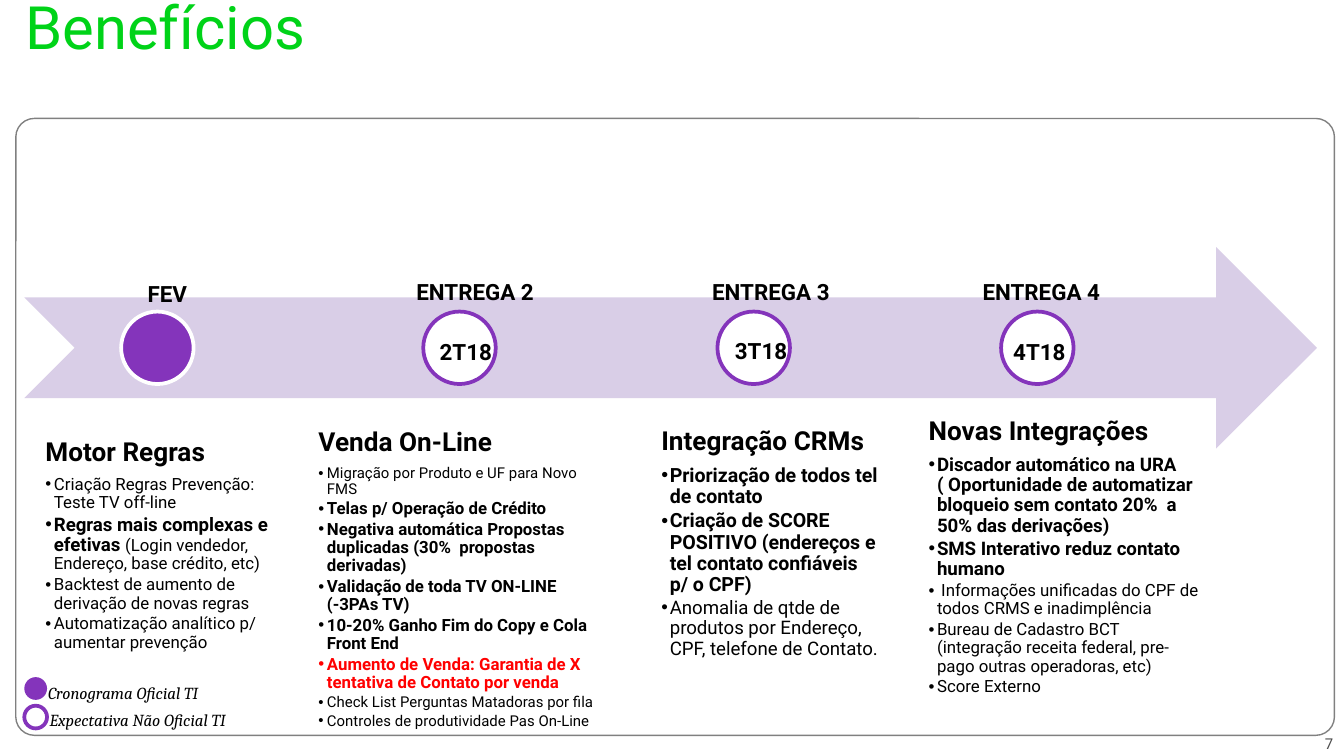
from lxml import etree
from pptx import Presentation
from pptx import util as u
from pptx.dml.color import RGBColor
from pptx.enum import shapes, text
from pptx.oxml import ns

GREEN = RGBColor(0x00, 0xD3, 0x18)
PURPLE = RGBColor(0x84, 0x34, 0xBB)
LILAC = RGBColor(0xD9, 0xCE, 0xE7)
RED = RGBColor(0xFF, 0x00, 0x00)
GRAY = RGBColor(0x80, 0x80, 0x80)
DARK_GRAY = RGBColor(0x4D, 0x4D, 0x4D)
BLACK = RGBColor(0x00, 0x00, 0x00)
WHITE = RGBColor(0xFF, 0xFF, 0xFF)

KIND = shapes.MSO_SHAPE
TOP, MIDDLE, BOTTOM = (text.MSO_ANCHOR.TOP, text.MSO_ANCHOR.MIDDLE,
                       text.MSO_ANCHOR.BOTTOM)
MILESTONE = 1.37
LEGEND_DOT = 0.43

# Milestones: circle left, label (text, left, top), quarter (text, left, top)
MILESTONES = [
    (2.29, ("FEV", 2.79, 5.16), None),
    (8.00, ("ENTREGA 2", 7.87, 5.13), ("2T18", 8.31, 6.27)),
    (13.56, ("ENTREGA 3", 13.46, 5.13), ("3T18", 13.89, 6.25)),
    (18.92, ("ENTREGA 4", 18.57, 5.13), ("4T18", 19.15, 6.27)),
]

# Columns: (left, top, width), anchor, bottom inset, heading, bullets.
# A bullet is a list of spans: text, size, bold, colour.
COLUMNS = [
    ((0.58, 7.47, 5.03), BOTTOM, 0.66, "Motor Regras", [
        [("Criação Regras Prevenção: Teste TV off-line", 9, False, BLACK)],
        [("Regras mais complexas e efetivas ", 10, True, BLACK),
         ("(Login vendedor, Endereço, base crédito, etc)", 9, False, BLACK)],
        [("Backtest de aumento de derivação de novas regras", 9, False, BLACK)],
        [("Automatização analítico p/ aumentar prevenção", 9, False, BLACK)],
    ]),
    ((5.74, 7.82, 6.02), TOP, 0.28, "Venda On-Line", [
        [("Migração por Produto e UF para Novo FMS", 8, False, BLACK)],
        [("Telas p/ Operação de Crédito", 9, True, BLACK)],
        [("Negativa automática Propostas duplicadas (30%  propostas derivadas)",
          9, True, BLACK)],
        [("Validação de toda TV ON-LINE (-3PAs TV)", 9, True, BLACK)],
        [("10-20% Ganho Fim do Copy e Cola Front End", 9, True, BLACK)],
        [("Aumento de Venda: Garantia de X tentativa de Contato por venda",
          9, True, RED)],
        [("Check List Perguntas Matadoras por fila", 8, False, BLACK)],
        [("Controles de produtividade Pas On-Line", 8, False, BLACK)],
    ]),
    ((12.22, 7.95, 4.67), BOTTOM, 1.0, "Integração CRMs", [
        [("Priorização de todos tel de contato", 10.5, True, BLACK)],
        [("Criação de SCORE POSITIVO (endereços e tel contato confiáveis "
          "p/ o CPF)", 10.5, True, BLACK)],
        [("Anomalia de qtde de produtos por Endereço, CPF, telefone de "
          "Contato.", 10, False, BLACK)],
    ]),
    ((17.27, 7.62, 5.69), TOP, 0.28, "Novas Integrações", [
        [("Discador automático na URA ( Oportunidade de automatizar bloqueio "
          "sem contato 20%  a 50% das derivações)", 10, True, BLACK)],
        [("SMS Interativo reduz contato humano", 10, True, BLACK)],
        [(" Informações unificadas do CPF de todos CRMS e inadimplência",
          9, False, BLACK)],
        [("Bureau de Cadastro BCT (integração receita federal, pre-pago "
          "outras operadoras, etc)", 9, False, BLACK)],
        [("Score Externo", 9, False, BLACK)],
    ]),
]


class SlideBuilder:
    font = "Roboto"

    def __init__(self, slide):
        self.slide = slide

    def span(self, para, words, size, bold=False, color=BLACK, italic=False,
             font=None):
        span = para.add_run()
        span.text = words
        span.font.name = font or self.font
        span.font.size = u.Pt(size)
        span.font.bold = bold
        span.font.italic = italic
        span.font.color.rgb = color

    def shape(self, kind, left, top, width, height, fill=None, line=None,
              line_width=2):
        shape = self.slide.shapes.add_shape(
            kind, u.Cm(left), u.Cm(top), u.Cm(width), u.Cm(height))
        shape.shadow.inherit = False
        if fill is None:
            shape.fill.background()
        else:
            shape.fill.solid()
            shape.fill.fore_color.rgb = fill
        if line is None:
            shape.line.fill.background()
        else:
            shape.line.color.rgb = line
            shape.line.width = u.Pt(line_width)
        return shape

    def frame(self, box, insets=(0, 0, 0, 0), anchor=TOP, wrap=True):
        """Set up the text frame of a box; insets are left, top, right, bottom."""
        frame = box.text_frame
        frame.auto_size = text.MSO_AUTO_SIZE.NONE
        frame.word_wrap = wrap
        frame.vertical_anchor = anchor
        (frame.margin_left, frame.margin_top,
         frame.margin_right, frame.margin_bottom) = map(u.Cm, insets)
        return frame

    def box(self, left, top, width, height, **options):
        box = self.slide.shapes.add_textbox(
            u.Cm(left), u.Cm(top), u.Cm(width), u.Cm(height))
        return self.frame(box, **options)

    def title(self, words, left, top, width, height):
        title = self.slide.shapes.title
        title.left, title.top = u.Cm(left), u.Cm(top)
        title.width, title.height = u.Cm(width), u.Cm(height)
        para = self.frame(title, anchor=MIDDLE).paragraphs[0]
        para.alignment = text.PP_ALIGN.LEFT
        para.line_spacing = u.Pt(24)
        para.space_before = u.Pt(0)
        self.span(para, words, 32, color=GREEN)

    def label(self, words, left, top):
        para = self.box(left, top, 2.41, 0.66).paragraphs[0]
        para.line_spacing = u.Pt(18)
        self.span(para, words, 12, bold=True)

    def legend(self, words, dot_top, left, top, fill, line=None):
        self.shape(KIND.OVAL, 0.46, dot_top, LEGEND_DOT, LEGEND_DOT, fill, line)
        para = self.box(left, top, 2.54, 0.66, wrap=False).paragraphs[0]
        para.line_spacing = u.Pt(18)
        self.span(para, words, 9, italic=True, font="Cambria")

    def bullet(self, frame, spans):
        para = frame.add_paragraph()
        para.level = 1
        props = para._p.get_or_add_pPr()
        props.set("marL", str(u.Cm(0.16)))
        props.set("indent", str(u.Cm(-0.16)))
        etree.SubElement(props, ns.qn("a:buFont")).set("typeface", "Arial")
        etree.SubElement(props, ns.qn("a:buChar")).set("char", "•")
        para.line_spacing = 0.9
        para.space_after = u.Pt(0.15 * spans[0][1])
        for span in spans:
            self.span(para, *span)

    def column(self, place, anchor, bottom_inset, heading, bullets):
        frame = self.box(*place, 5.51, anchor=anchor,
                         insets=(0.28, 0.28, 0.28, bottom_inset))
        para = frame.paragraphs[0]
        para.line_spacing = 0.9
        para.space_after = u.Pt(4.9)
        self.span(para, heading, 14, bold=True)
        for spans in bullets:
            self.bullet(frame, spans)

    def page_number(self, words):
        para = self.box(23.06, 13.89, 2.34, 0.4, insets=(0, 0, 0.2, 0),
                        anchor=MIDDLE).paragraphs[0]
        para.alignment = text.PP_ALIGN.RIGHT
        para.line_spacing = 0.8
        self.span(para, words, 8, color=DARK_GRAY)


def main():
    deck = Presentation()
    deck.slide_width, deck.slide_height = u.Cm(25.4), u.Cm(14.29)
    page = SlideBuilder(deck.slides.add_slide(deck.slide_layouts[5]))

    page.title("Benefícios", 0.48, 0.15, 22.2, 1.19)
    page.shape(KIND.NOTCHED_RIGHT_ARROW, 0.46, 4.67, 24.43, 3.81, LILAC)
    for column in COLUMNS:
        page.column(*column)
    for left, label, quarter in MILESTONES:
        fill, line = (WHITE, PURPLE) if quarter else (PURPLE, WHITE)
        page.shape(KIND.OVAL, left, 5.89, MILESTONE, MILESTONE, fill, line)
        page.label(*label)
        if quarter:
            page.label(*quarter)

    border = page.shape(KIND.ROUNDED_RECTANGLE, 0.3, 2.24, 24.92, 11.66,
                        line=GRAY, line_width=0.75)
    border.adjustments[0] = 0.03
    page.legend("Cronograma Oficial TI", 12.8, 0.91, 12.65, PURPLE)
    page.legend("Expectativa Não Oficial TI", 13.34, 0.94, 13.16, WHITE, PURPLE)
    page.page_number("7")
    deck.save("out.pptx")


if __name__ == "__main__":
    main()
